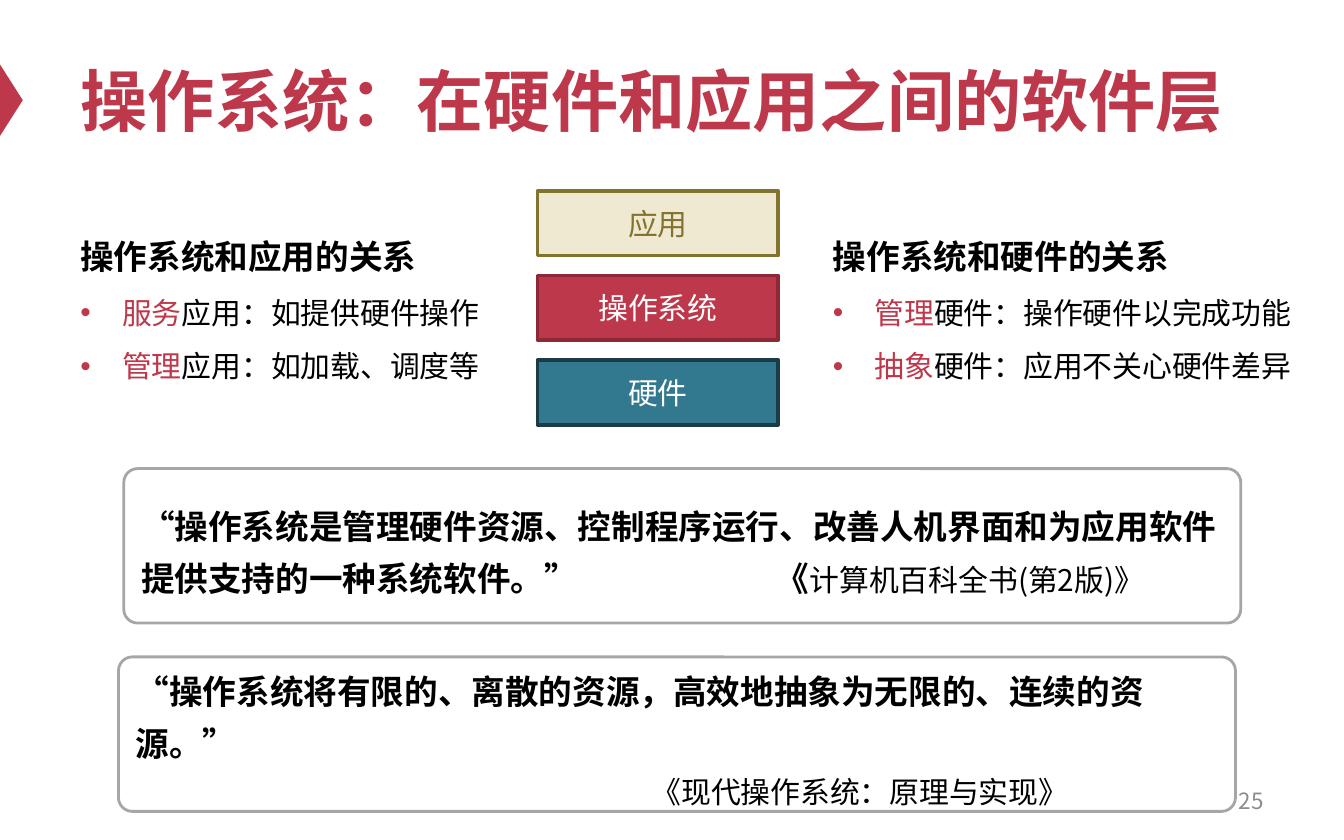
from lxml import etree
from pptx import Presentation
from pptx.dml.color import RGBColor
from pptx.enum.shapes import MSO_SHAPE
from pptx.enum.text import MSO_ANCHOR, PP_ALIGN
from pptx.oxml.ns import qn
from pptx.util import Cm, Pt

RECT = MSO_SHAPE.RECTANGLE
ROUNDED = MSO_SHAPE.ROUNDED_RECTANGLE
TRIANGLE = MSO_SHAPE.ISOSCELES_TRIANGLE
MIDDLE = MSO_ANCHOR.MIDDLE
LEFT, CENTER, RIGHT = PP_ALIGN.LEFT, PP_ALIGN.CENTER, PP_ALIGN.RIGHT

CJK = "Noto Sans CJK SC"
COLORS = {
    "red": "BE384B", "dark_red": "8D2937", "cream": "EFE9D1", "olive": "82732E",
    "teal": "32788E", "dark_teal": "193C47", "white": "FFFFFF", "black": "000000",
    "border": "A6A6A6", "number": "8C8C8C",
}


def add_block(kind, left, top, width, height, fill, line=None, weight=0):
    block = slide.shapes.add_shape(kind, Cm(left), Cm(top), Cm(width), Cm(height))
    block.shadow.inherit = False
    block.fill.solid()
    block.fill.fore_color.rgb = RGBColor.from_string(COLORS[fill])
    if line:
        block.line.color.rgb = RGBColor.from_string(COLORS[line])
        block.line.width = Pt(weight)
    else:
        block.line.fill.background()
    block.text_frame.word_wrap = True
    block.text_frame.vertical_anchor = MIDDLE
    return block


def format_run(run, size, color, bold=False, latin="Arial"):
    run.font.size = Pt(size)
    run.font.bold = bold
    run.font.color.rgb = RGBColor.from_string(COLORS[color])
    run.font.name = latin
    etree.SubElement(run.font._element, qn("a:ea"), typeface=CJK)


prs = Presentation()
prs.slide_width, prs.slide_height = Cm(25.4), Cm(15.88)
slide = prs.slides.add_slide(prs.slide_layouts[5])

# Title with its edge marker
marker = add_block(TRIANGLE, -0.46, 1.68, 1.35, 0.43, "red")
marker.rotation = 90
title = slide.shapes.title
title.left, title.top, title.width, title.height = Cm(1.27), Cm(0.64), Cm(22.86), Cm(2.49)
title.text_frame.text = "操作系统：在硬件和应用之间的软件层"
title.text_frame.vertical_anchor = MIDDLE
title.text_frame.paragraphs[0].alignment = LEFT
format_run(title.text_frame.paragraphs[0].runs[0], 36, "red", True)

# Page number
number = slide.shapes.add_textbox(Cm(18.21), Cm(14.71), Cm(5.92), Cm(0.84)).text_frame
number.text = "25"
number.word_wrap = True
number.vertical_anchor = MIDDLE
number.paragraphs[0].alignment = RIGHT
format_run(number.paragraphs[0].runs[0], 12, "number", latin=CJK)

# Software stack
layers = [
    ("应用", "cream", "olive", "olive"),
    ("操作系统", "red", "dark_red", "white"),
    ("硬件", "teal", "dark_teal", "white"),
]
for i, (name, fill, line, color) in enumerate(layers):
    layer = add_block(RECT, 10.16, 3.61 + 1.6 * i, 4.55, 1.22, fill, line, 2)
    layer.text_frame.text = name
    layer.text_frame.paragraphs[0].alignment = CENTER
    format_run(layer.text_frame.paragraphs[0].runs[0], 16, color)

# Relations on both sides of the stack
relations = [
    (15.49, 10.21, "操作系统和硬件的关系",
     [("管理", "硬件：操作硬件以完成功能"), ("抽象", "硬件：应用不关心硬件差异")]),
    (1.27, 9.83, "操作系统和应用的关系",
     [("服务", "应用：如提供硬件操作"), ("管理", "应用：如加载、调度等")]),
]
for left, width, heading, points in relations:
    relation = slide.shapes.add_textbox(Cm(left), Cm(3.96), Cm(width), Cm(3.45)).text_frame
    relation.word_wrap = True
    relation.text = heading
    relation.paragraphs[0].line_spacing = 1.5
    format_run(relation.paragraphs[0].runs[0], 18, "black", True)
    for keyword, detail in points:
        point = relation.add_paragraph()
        point.line_spacing = 1.5
        props = point._p.get_or_add_pPr()
        props.set("marL", str(Cm(0.79)))
        props.set("indent", str(Cm(-0.79)))
        etree.SubElement(props, qn("a:buFont"), typeface="Arial")
        etree.SubElement(props, qn("a:buChar"), char="•")
        for text, color in ((keyword, "red"), (detail, "black")):
            run = point.add_run()
            run.text = text
            format_run(run, 16, color)

# Quotations: each paragraph has a left margin and runs of (text, size, bold)
quotes = [
    (2.34, 8.86, [
        (0, [("“操作系统是管理硬件资源、控制程序运行、改善人机界面和为应用软件"
              "提供支持的一种系统软件。”\t《", 18, True),
             ("计算机百科全书(第2版)》", 16, False)]),
    ]),
    (2.24, 12.42, [
        (0, [("“操作系统将有限的、离散的资源，高效地抽象为无限的、连续的资源。”", 18, True)]),
        (9.75, [("《现代操作系统：原理与实现》", 16, False)]),
    ]),
]
for left, top, paragraphs in quotes:
    quote = add_block(ROUNDED, left, top, 21.11, 2.92, "white", "border", 1.5)
    quote.adjustments[0] = 0.09
    frame = quote.text_frame
    for i, (margin, runs) in enumerate(paragraphs):
        paragraph = frame.add_paragraph() if i else frame.paragraphs[0]
        paragraph.alignment = LEFT
        paragraph.line_spacing = 1.3
        props = paragraph._p.get_or_add_pPr()
        props.set("marL", str(Cm(margin)))
        tabs = etree.SubElement(props, qn("a:tabLst"))
        etree.SubElement(tabs, qn("a:tab"), pos=str(Cm(12)), algn="l")
        for text, size, bold in runs:
            run = paragraph.add_run()
            run.text = text
            format_run(run, size, "black", bold, CJK)

prs.save("out.pptx")
